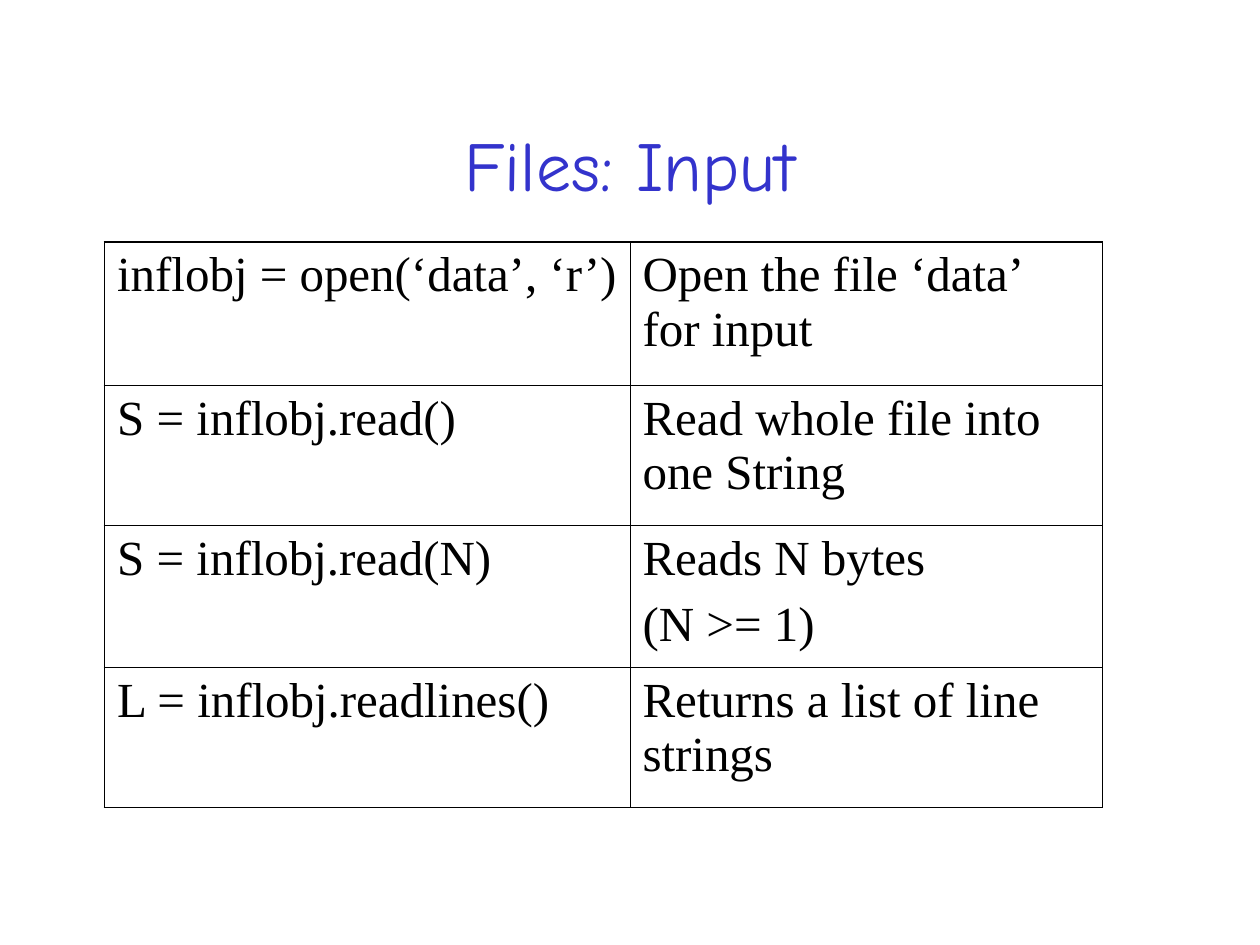
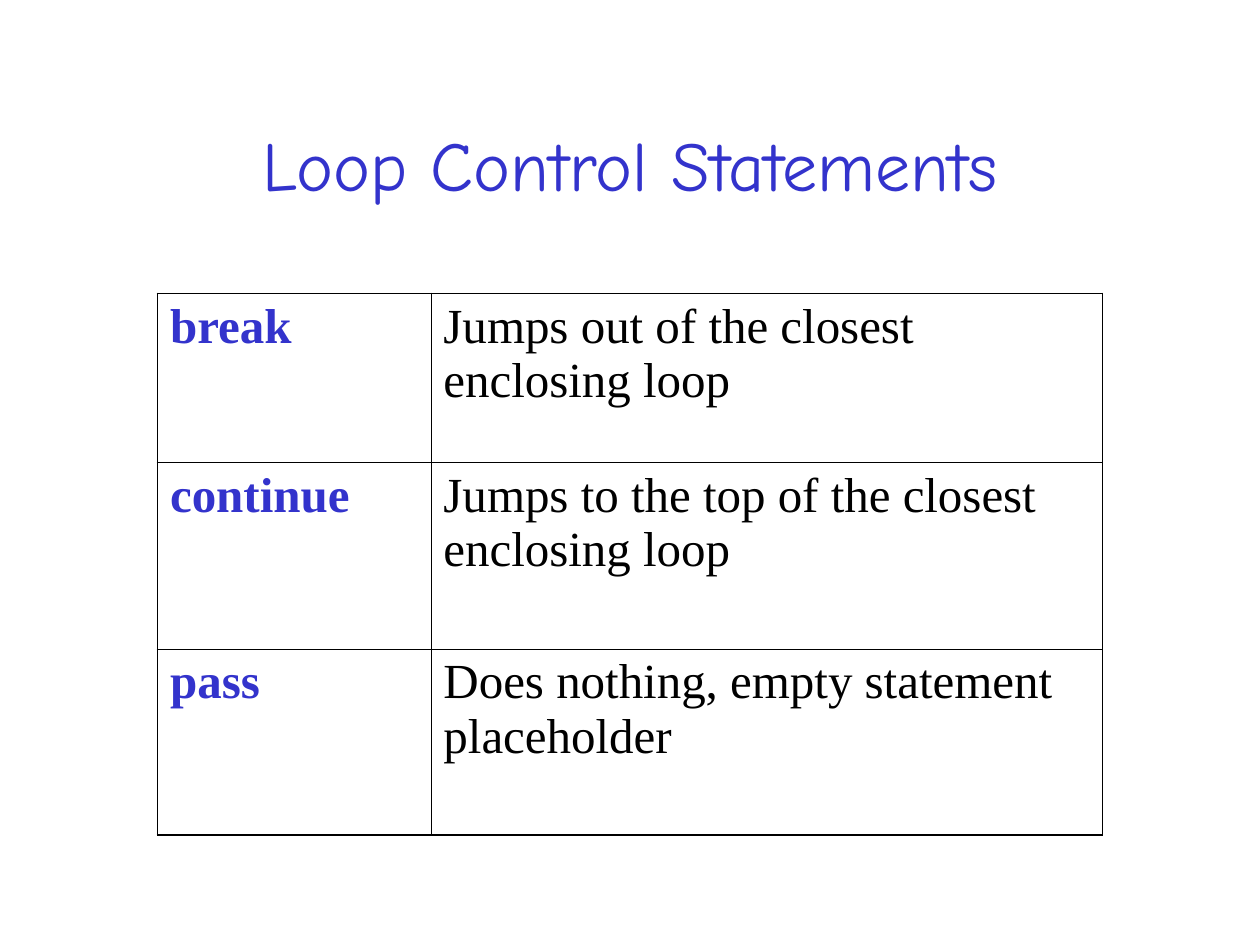
from lxml import etree
from pptx import Presentation
from pptx.dml.color import RGBColor
from pptx.enum.text import MSO_ANCHOR, PP_ALIGN
from pptx.oxml.ns import qn
from pptx.util import Inches, Pt

CENTER = PP_ALIGN.CENTER
MIDDLE = MSO_ANCHOR.MIDDLE

BLUE = "3333CC"
BLACK = "000000"
TITLE_FONT = "Comic Neue"
BODY_FONT = "Times New Roman"
TITLE_BOX = (0.75, 0.67, 8.5, 1.25)
OUTER_LINE = 1.08
INNER_LINE = 0.45
TITLE_ONLY_LAYOUT = 5

SLIDES = [
    {
        "title": "Files: Input",
        "origin": (0.83, 1.92),
        "columns": (4.17, 3.75),
        "heights": (1.14, 1.11, 1.13, 1.11),
        "keywords": False,
        "rows": [
            ("inflobj = open(‘data’, ‘r’)", "Open the file ‘data’ for input"),
            ("S = inflobj.read()", "Read whole file into one String"),
            ("S = inflobj.read(N)", "Reads N bytes\n(N >= 1)"),
            ("L = inflobj.readlines()", "Returns a list of line strings"),
        ],
    },
    {
        "title": "Loop Control Statements",
        "origin": (1.25, 2.33),
        "columns": (2.17, 5.33),
        "heights": (1.34, 1.48, 1.48),
        "keywords": True,
        "rows": [
            ("break", "Jumps out of the closest enclosing loop"),
            ("continue", "Jumps to the top of the closest enclosing loop"),
            ("pass", "Does nothing, empty statement placeholder"),
        ],
    },
]


def rgb(color):
    return RGBColor.from_string(color)


def style_runs(paragraph, font_name, size, color, bold=False):
    for run in paragraph.runs:
        run.font.name = font_name
        run.font.size = Pt(size)
        run.font.bold = bold
        run.font.color.rgb = rgb(color)


def add_title(slide, text):
    title = slide.shapes.title
    title.left, title.top, title.width, title.height = map(Inches, TITLE_BOX)
    frame = title.text_frame
    frame.text = text
    frame.vertical_anchor = MIDDLE
    paragraph = frame.paragraphs[0]
    paragraph.alignment = CENTER
    style_runs(paragraph, TITLE_FONT, 40, BLUE)


def set_borders(cell, outer_edges):
    properties = cell._tc.get_or_add_tcPr()
    for edge, is_outer in zip(("lnL", "lnR", "lnT", "lnB"), outer_edges):
        width = Pt(OUTER_LINE if is_outer else INNER_LINE)
        line = etree.SubElement(properties, qn(f"a:{edge}"), w=str(width))
        fill = etree.SubElement(line, qn("a:solidFill"))
        etree.SubElement(fill, qn("a:srgbClr"), val=BLACK)


def fill_cell(cell, text, is_keyword):
    cell.fill.background()
    cell.text_frame.text = text
    for index, paragraph in enumerate(cell.text_frame.paragraphs):
        if index:
            paragraph.space_before = Pt(7)
        style_runs(paragraph, BODY_FONT, 28, BLUE if is_keyword else BLACK, is_keyword)


def add_reference_table(slide, content):
    rows, columns, heights = content["rows"], content["columns"], content["heights"]
    left, top = content["origin"]
    frame = slide.shapes.add_table(
        len(rows), len(columns), Inches(left), Inches(top),
        Inches(sum(columns)), Inches(sum(heights)))
    table = frame.table
    table.first_row = False
    table.horz_banding = False
    for column, width in zip(table.columns, columns):
        column.width = Inches(width)
    for row, height in zip(table.rows, heights):
        row.height = Inches(height)
    last_row, last_column = len(rows) - 1, len(columns) - 1
    for r, texts in enumerate(rows):
        for c, text in enumerate(texts):
            cell = table.cell(r, c)
            set_borders(cell, (c == 0, c == last_column, r == 0, r == last_row))
            fill_cell(cell, text, content["keywords"] and c == 0)


def main():
    presentation = Presentation()
    presentation.slide_width = Inches(10)
    presentation.slide_height = Inches(7.5)
    layout = presentation.slide_layouts[TITLE_ONLY_LAYOUT]
    for content in SLIDES:
        slide = presentation.slides.add_slide(layout)
        add_title(slide, content["title"])
        add_reference_table(slide, content)
    presentation.save("out.pptx")


if __name__ == "__main__":
    main()
